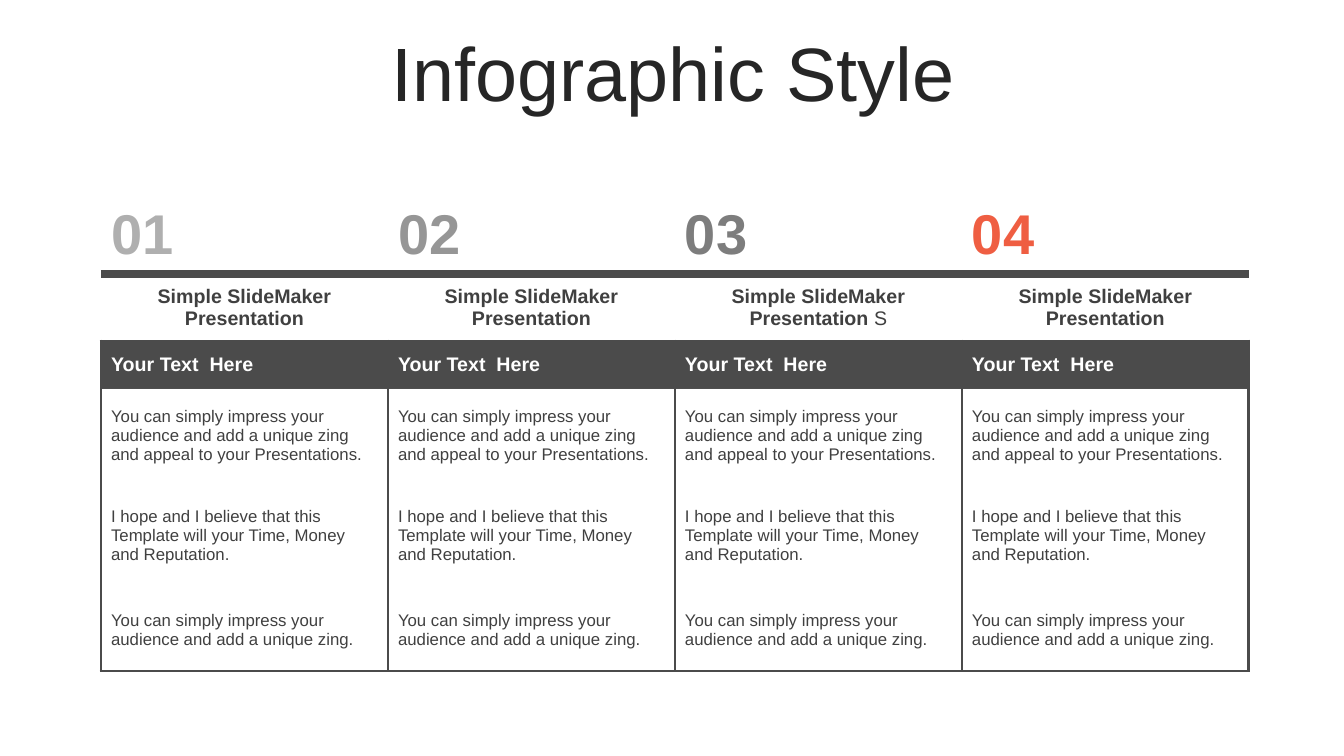
"""Build a four-column infographic table slide."""
from lxml.etree import SubElement
from pptx import Presentation
from pptx.dml.color import RGBColor
from pptx.enum.text import MSO_ANCHOR, PP_ALIGN
from pptx.oxml.ns import qn
from pptx.util import Pt

HUES = {"dark": "4B4B4B", "white": "FFFFFF", "title": "262626", "text": "404040",
        "one": "AFAFAF", "two": "969696", "three": "7D7D7D", "four": "EF5E42"}
TITLE = "Infographic Style"
STEPS = [("01", "one"), ("02", "two"), ("03", "three"), ("04", "four")]
HEAD = "Simple SlideMaker Presentation"
TAILS = ["", "", " S", ""]
LABEL = "Your Text  Here"
BODY = ["You can simply impress your audience and add a unique zing and appeal to your Presentations.",
        "I hope and I believe that this Template will your Time, Money and Reputation.",
        "You can simply impress your audience and add a unique zing."]
ROWS = [77, 67, 48, 93, 107, 82]
WIDE = 287
LEFT, TOP = 101, 197
THIN, THICK = 2.25, 6
FONTS = {"title": {"size": Pt(54), "bold": False},
         "step": {"size": Pt(40), "bold": True},
         "head": {"size": Pt(14), "bold": True},
         "tail": {"size": Pt(14), "bold": False},
         "body": {"size": Pt(12), "bold": False}}


def px(num):
    return round(num * 914400 / 100.8)


def write(para, text, kind, hue):
    run = para.add_run()
    run.text = text
    for key, val in {"name": "Arial", **FONTS[kind]}.items():
        setattr(run.font, key, val)
    run.font.color.rgb = RGBColor.from_string(HUES[hue])


def edge(cell, side, line):
    rule = SubElement(cell._tc.get_or_add_tcPr(), qn("a:ln" + side))
    if line is None:
        rule.set("w", "0")
        SubElement(rule, qn("a:noFill"))
        return
    hue, width = line
    rule.set("w", str(Pt(width)))
    fill = SubElement(rule, qn("a:solidFill"))
    SubElement(fill, qn("a:srgbClr"), val=HUES[hue])


def sides(row, col):
    frame, bar, gap = ("dark", THIN), ("dark", THICK), ("white", THICK)
    top = {1: bar, 2: frame}.get(row)
    base = {0: bar, 1: frame, 5: frame}.get(row)
    if row > 1:
        return {"L": frame, "R": frame, "T": top, "B": base}
    return {"L": gap if col else None, "R": gap if col < len(STEPS) - 1 else None,
            "T": top, "B": base}


def paint(cell, hue, clear):
    cell.fill.solid()
    cell.fill.fore_color.rgb = RGBColor.from_string(HUES[hue])
    if clear:
        tint = cell._tc.tcPr.find(qn("a:solidFill")).find(qn("a:srgbClr"))
        SubElement(tint, qn("a:alpha"), val="20000")


def parts(row, col):
    if row == 0:
        text, hue = STEPS[col]
        return [(text, "step", hue)]
    if row == 1:
        return [(HEAD, "head", "text")] + [(t, "tail", "text") for t in [TAILS[col]] if t]
    if row == 2:
        return [(LABEL, "head", "white")]
    return [(BODY[row - 3], "body", "text")]


def main():
    deck = Presentation()
    deck.slide_width, deck.slide_height = px(1344), px(756)
    slide = deck.slides.add_slide(deck.slide_layouts[5])

    title = slide.shapes.title
    box = {"left": 35, "top": 37, "width": 1276, "height": 80}
    for key, val in box.items():
        setattr(title, key, px(val))
    title.text_frame.vertical_anchor = MSO_ANCHOR.MIDDLE
    para = title.text_frame.paragraphs[0]
    para.alignment, para.line_spacing = PP_ALIGN.CENTER, 0.9
    write(para, TITLE, "title", "title")

    count = len(STEPS)
    table = slide.shapes.add_table(len(ROWS), count, px(LEFT), px(TOP),
                                   px(WIDE * count), px(sum(ROWS))).table
    table.first_row = table.horz_banding = False
    for col in table.columns:
        col.width = px(WIDE)
    for row, high in enumerate(ROWS):
        table.rows[row].height = px(high)
        for col in range(count):
            cell = table.cell(row, col)
            cell.vertical_anchor = MSO_ANCHOR.MIDDLE
            for side, line in sides(row, col).items():
                edge(cell, side, line)
            paint(cell, "dark" if row == 2 else "white", row > 2)
            para = cell.text_frame.paragraphs[0]
            para.alignment = PP_ALIGN.CENTER if row == 1 else PP_ALIGN.LEFT
            for text, kind, hue in parts(row, col):
                write(para, text, kind, hue)
    deck.save("out.pptx")


if __name__ == "__main__":
    main()
